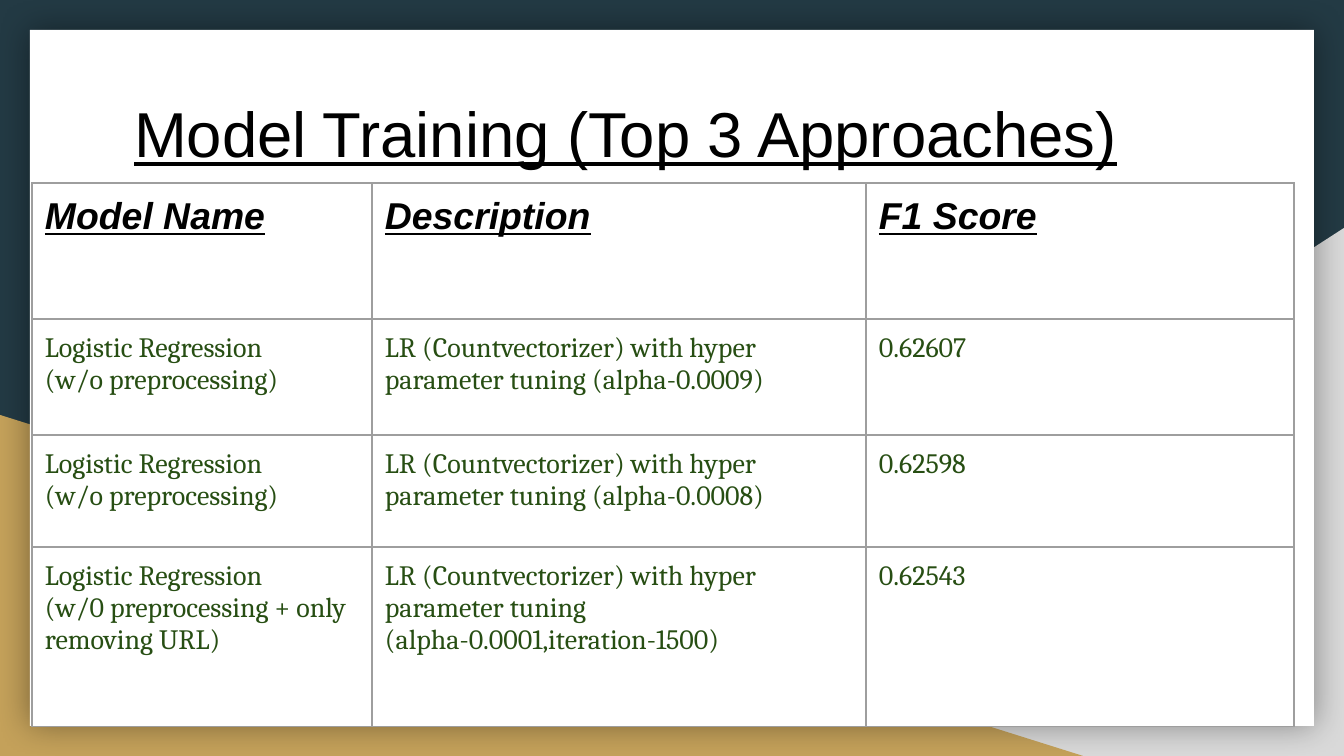
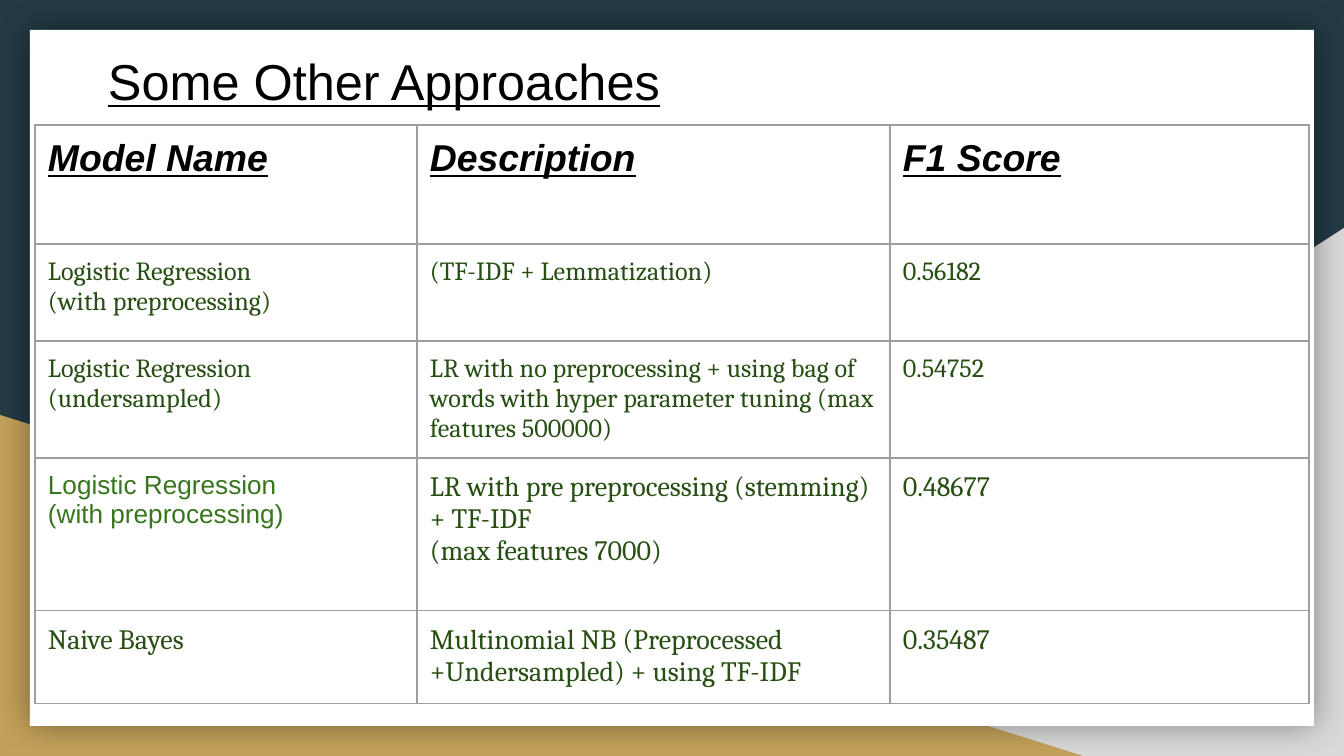
"""Build two slides that compare model training approaches by F1 score."""
from lxml.etree import SubElement
from pptx import Presentation
from pptx.dml.color import RGBColor as Rgb
from pptx.enum.shapes import MSO_SHAPE as Preset
from pptx.enum.text import MSO_ANCHOR as Anchor, PP_ALIGN as Align
from pptx.oxml import parse_xml
from pptx.oxml.ns import nsdecls, qn
from pptx.util import Emu, Pt

COLOURS = {
    "navy": "233A44", "grey": "D9D9D9", "gold": "C4A15A", "white": "FFFFFF",
    "black": "000000", "border": "9E9E9E", "forest": "274E13", "green": "38761D",
}
FORMATS = {
    "title": {"name": "Arial", "underline": True, "bold": False},
    "head": {"name": "Arial", "size": Pt(20), "bold": True, "italic": True, "underline": True},
    "body": {"name": "Cambria", "size": Pt(15)},
    "small": {"name": "Cambria", "size": Pt(14)},
    "accent": {"name": "Arial", "size": Pt(14)},
}
TEXT_COLOURS = {
    "title": "black", "head": "black", "body": "forest", "small": "forest", "accent": "green",
}
INSET = 13
HEADINGS = ["Model Name", "Description", "F1 Score"]
HEAD, BODY, SMALL = (["head"] * 3, ["body"] * 3, ["small"] * 3)


def px(count):
    """Turn pixels into EMU."""
    return Emu(round(count * 914400 / 134.4))


def rgb(name):
    """Look up a named colour."""
    return Rgb.from_string(COLOURS[name])


class DeckBuilder:
    """Hold the deck, its shared layout and the current slide."""

    def __init__(self):
        """Set the slide size and the shared background."""
        self.deck = Presentation()
        self.deck.slide_width, self.deck.slide_height = px(1344), px(756)
        self.layout = self.deck.slide_layouts.get_by_name("Title Only")
        fill = self.deck.slide_master.background.fill
        fill.solid()
        fill.fore_color.rgb = rgb("navy")
        self.page = None

    def add_page(self, title, size, *place):
        """Add a slide with a title at the given size and place."""
        self.page = self.deck.slides.add_slide(self.layout)
        box = self.page.shapes.title
        box.left, box.top, box.width, box.height = map(px, place)
        frame = box.text_frame
        self.set_insets(frame)
        frame.vertical_anchor = Anchor.TOP
        self.add_text(frame, title, "title")
        para = frame.paragraphs[0]
        para.alignment, para.line_spacing = Align.LEFT, 1.1
        para.runs[0].font.size = Pt(size)

    def add_backdrop(self):
        """Place the two triangles and the white panel on the layout."""
        right = self.add_block(Preset.RIGHT_TRIANGLE, "grey", 527, 228, 817, 528)
        right.element.spPr.xfrm.set("flipH", "1")
        left = self.add_block(Preset.RIGHT_TRIANGLE, "gold", 0, 415, 1083, 341)
        panel = self.add_block(Preset.RECTANGLE, "white", 30, 30, 1284, 696)
        self.add_glow(panel)
        tree = self.layout.shapes.element
        for index, block in enumerate((right, left, panel), start=2):
            tree.insert(index, block.element)

    def add_block(self, preset, colour, *place):
        """Add a filled shape without outline or shadow."""
        block = self.page.shapes.add_shape(preset, *map(px, place))
        block.shadow.inherit = False
        block.fill.solid()
        block.fill.fore_color.rgb = rgb(colour)
        block.line.fill.background()
        return block

    def add_glow(self, block):
        """Give a shape a soft shadow on every side."""
        effects = block.element.spPr.find(qn("a:effectLst"))
        shadow = SubElement(effects, qn("a:outerShdw"), blurRad=str(Pt(18)), dist="0",
                            algn="ctr", rotWithShape="0")
        colour = SubElement(shadow, qn("a:srgbClr"), val=COLOURS["black"])
        SubElement(colour, qn("a:alpha"), val="40000")

    def add_grid(self, left, top, widths, rows):
        """Add a bordered table from (height, styles, texts) rows."""
        heights = [height for height, _, _ in rows]
        place = map(px, (left, top, sum(widths), sum(heights)))
        table = self.page.shapes.add_table(len(rows), len(widths), *place).table
        table.first_row = table.horz_banding = False
        for column, width in zip(table.columns, widths):
            column.width = px(width)
        for row, (height, styles, texts) in zip(table.rows, rows):
            row.height = px(height)
            for cell, style, text in zip(row.cells, styles, texts):
                self.set_insets(cell)
                cell.fill.background()
                self.add_borders(cell)
                self.add_text(cell.text_frame, text, style)

    def add_borders(self, cell):
        """Draw a thin line on each side of a cell."""
        properties = cell._tc.get_or_add_tcPr()
        for index, side in enumerate("LRTB"):
            properties.insert(index, parse_xml(
                f'<a:ln{side} {nsdecls("a")} w="{Pt(0.75)}"><a:solidFill>'
                f'<a:srgbClr val="{COLOURS["border"]}"/></a:solidFill></a:ln{side}>'))

    def set_insets(self, holder):
        """Set equal inner margins on a cell or text frame."""
        for side in ("left", "top", "right", "bottom"):
            setattr(holder, f"margin_{side}", px(INSET))

    def add_text(self, frame, text, style):
        """Add one paragraph per line in a named style."""
        frame.word_wrap = True
        for index, line in enumerate(text.split("\n")):
            para = frame.add_paragraph() if index else frame.paragraphs[0]
            span = para.add_run()
            span.text = line
            for key, value in FORMATS[style].items():
                setattr(span.font, key, value)
            span.font.color.rgb = rgb(TEXT_COLOURS[style])


def main():
    """Build and save the deck."""
    builder = DeckBuilder()
    builder.add_page("Model Training (Top 3 Approaches)", 34, 121, 73, 1103, 124)
    builder.add_backdrop()
    tuning = "LR (Countvectorizer) with hyper parameter tuning "
    builder.add_grid(32, 183, [340, 494, 428], [
        (136, HEAD, HEADINGS),
        (116, BODY, ["Logistic Regression\n(w/o preprocessing)",
                     tuning + "(alpha-0.0009)", "0.62607"]),
        (112, BODY, ["Logistic Regression\n(w/o preprocessing)",
                     tuning + "(alpha-0.0008)", "0.62598"]),
        (180, BODY, ["Logistic Regression\n(w/0 preprocessing + only removing URL)",
                     tuning + "(alpha-0.0001,iteration-1500)", "0.62543"]),
    ])

    builder.add_page("Some Other Approaches", 27, 95, 31, 1103, 140)
    builder.add_grid(35, 125, [382, 473, 419], [
        (119, HEAD, HEADINGS),
        (97, SMALL, ["Logistic Regression\n(with preprocessing)",
                     "(TF-IDF + Lemmatization)", "0.56182"]),
        (117, SMALL, ["Logistic Regression\n(undersampled)",
                      "LR with no preprocessing + using bag of words with hyper parameter "
                      "tuning (max features 500000)", "0.54752"]),
        (153, ["accent", "body", "body"], [
            "Logistic Regression\n(with preprocessing)",
            "LR with pre preprocessing (stemming) + TF-IDF\n(max features 7000)", "0.48677"]),
        (93, BODY, ["Naive Bayes",
                    "Multinomial NB (Preprocessed +Undersampled) + using TF-IDF", "0.35487"]),
    ])
    builder.deck.save("out.pptx")


if __name__ == "__main__":
    main()
